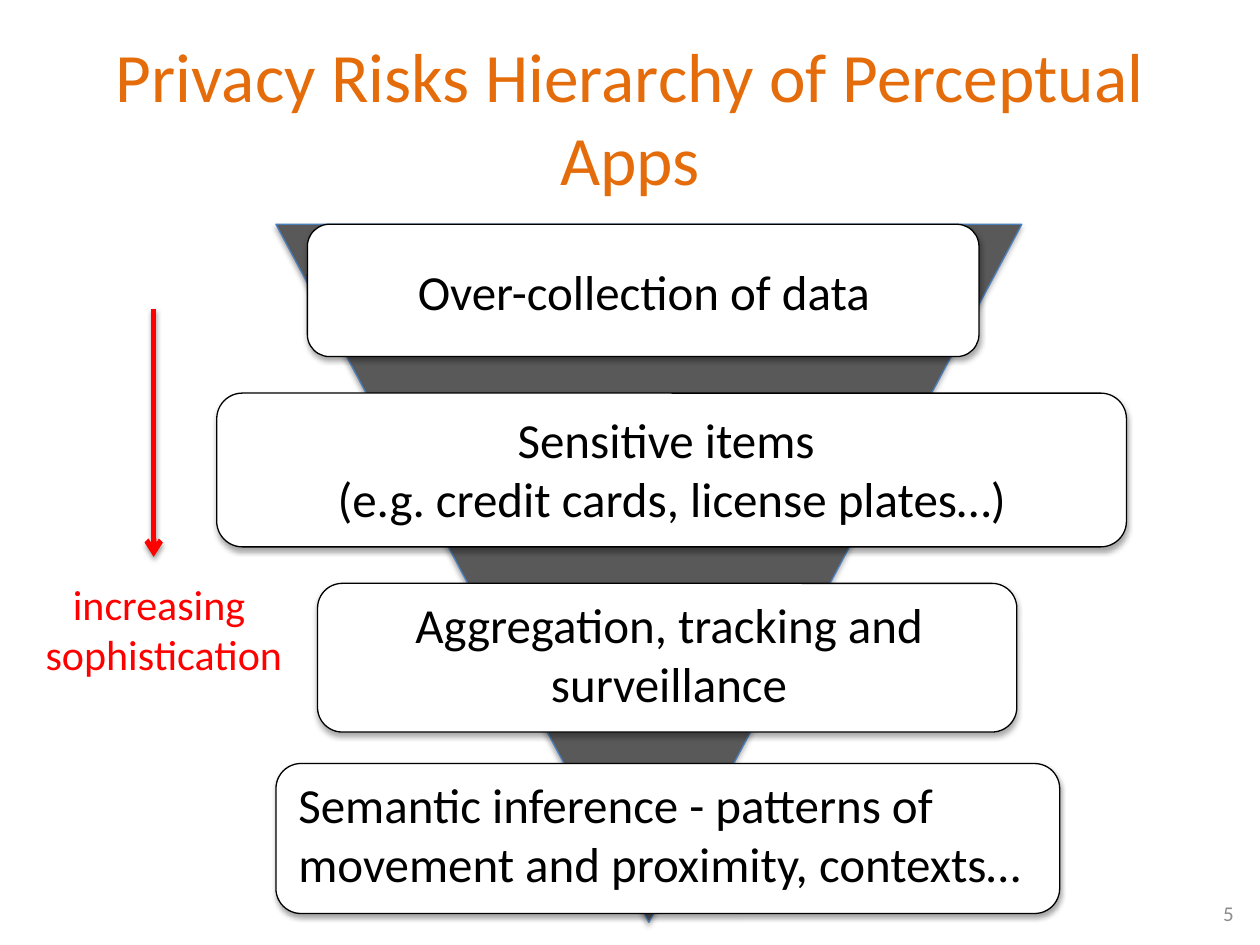
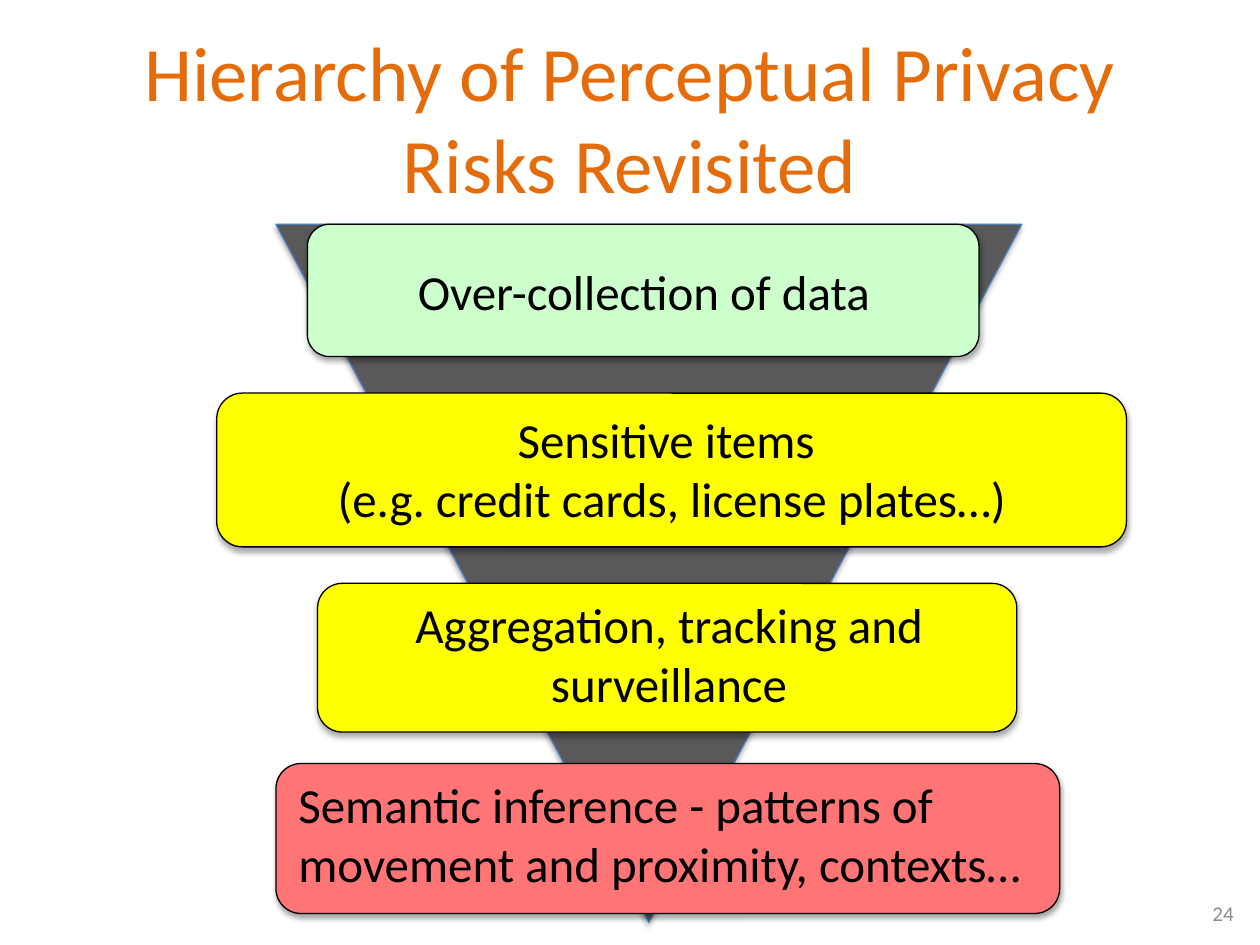
import pptx
import pptx.util
import pptx.oxml
import pptx.oxml.ns
import pptx.dml.color
import pptx.enum.shapes
import pptx.enum.text
from lxml import etree

Inches = pptx.util.Inches
Pt = pptx.util.Pt
Kind = pptx.enum.shapes.MSO_SHAPE
Align = pptx.enum.text.PP_ALIGN
Anchor = pptx.enum.text.MSO_ANCHOR

FONT = "Calibri"
COLORS = {
    "title": "E46C0A",
    "page": "8C8C8C",
    "funnel": "595959",
    "edge": "4B7EBC",
    "ink": "000000",
    "alert": "FF0000",
    "plain": "FFFFFF",
    "low": "CCFFCC",
    "mid": "FFFF00",
    "high": "FF7575",
}
RISKS = [
    ((2.44, 1.78, 5.33, 1.05), (2.82, 2.03, 4.58, 0.57), Align.CENTER,
     "Over-collection of data"),
    ((1.72, 3.12, 7.22, 1.22), (1.72, 3.2, 7.22, 1.04), Align.CENTER,
     "Sensitive items \n(e.g. credit cards, license plates…)"),
    ((2.52, 4.63, 5.55, 1.18), (2.56, 4.67, 5.5, 1.51), Align.CENTER,
     "Aggregation, tracking and surveillance"),
    ((2.19, 6.06, 6.22, 1.19), (2.27, 6.1, 6.09, 1.04), Align.LEFT,
     "Semantic inference - patterns of movement and proximity, contexts…"),
]


def color(name):
    return pptx.dml.color.RGBColor.from_string(COLORS[name])


class Deck:
    def __init__(self):
        self.prs = pptx.Presentation()
        self.prs.slide_width = Inches(10)
        self.prs.slide_height = Inches(7.5)
        self.slide = None

    def start(self):
        self.slide = self.prs.slides.add_slide(self.prs.slide_layouts[6])

    def shade(self, item, alpha, dist):
        space = pptx.oxml.ns.nsdecls("a")
        item._element.spPr.append(pptx.oxml.parse_xml(
            f'<a:effectLst {space}><a:outerShdw blurRad="{Pt(3.1)}" '
            f'dist="{Pt(dist)}" dir="5400000" rotWithShape="0">'
            f'<a:srgbClr val="{COLORS["ink"]}"><a:alpha val="{alpha * 1000}"/>'
            '</a:srgbClr></a:outerShdw></a:effectLst>'))

    def shape(self, kind, box, fill, line):
        item = self.slide.shapes.add_shape(kind, *map(Inches, box))
        item.fill.solid()
        item.fill.fore_color.rgb = color(fill)
        item.line.color.rgb = color(line)
        item.line.width = Pt(0.75)
        self.shade(item, 35, 1.8)
        return item

    def text(self, box, words, size, tint, align=Align.CENTER, anchor=Anchor.TOP):
        frame = self.slide.shapes.add_textbox(*map(Inches, box)).text_frame
        frame.word_wrap = True
        frame.vertical_anchor = anchor
        frame.text = words
        for para in frame.paragraphs:
            para.alignment = align
            for run in para.runs:
                run.font.name = FONT
                run.font.size = Pt(size)
                run.font.color.rgb = color(tint)

    def arrow(self, start, end, tint):
        item = self.slide.shapes.add_connector(
            pptx.enum.shapes.MSO_CONNECTOR.STRAIGHT, *map(Inches, start + end))
        item.line.color.rgb = color(tint)
        item.line.width = Pt(3)
        tail = pptx.oxml.ns.qn("a:tailEnd")
        etree.SubElement(item.line._get_or_add_ln(), tail, type="arrow")
        self.shade(item, 38, 1.6)

    def frame(self, title, size, page):
        self.start()
        funnel = self.shape(Kind.ISOSCELES_TRIANGLE, (2.19, 1.78, 5.92, 5.54),
                            "funnel", "edge")
        funnel.rotation = 180
        self.text((0.5, 0.3, 9, 1.25), title, size, "title", anchor=Anchor.MIDDLE)
        self.text((7.56, 7.05, 2.33, 0.4), page, 12, "page",
                  Align.RIGHT, Anchor.MIDDLE)

    def risks(self, fills):
        for (box, area, align, words), fill in zip(RISKS, fills):
            self.shape(Kind.ROUNDED_RECTANGLE, box, fill, "ink")
            self.text(area, words, 28, "ink", align)


def main():
    deck = Deck()

    deck.frame("Privacy Risks Hierarchy of Perceptual Apps", 39.6, "5")
    deck.text((0.21, 4.54, 2.18, 0.91), "increasing \nsophistication", 24, "alert")
    deck.arrow((1.22, 2.45), (1.22, 4.42), "alert")
    deck.risks(["plain"] * len(RISKS))

    deck.frame("Hierarchy of Perceptual Privacy Risks Revisited", 44, "24")
    deck.risks(["low", "mid", "mid", "high"])

    deck.prs.save("out.pptx")


if __name__ == "__main__":
    main()
